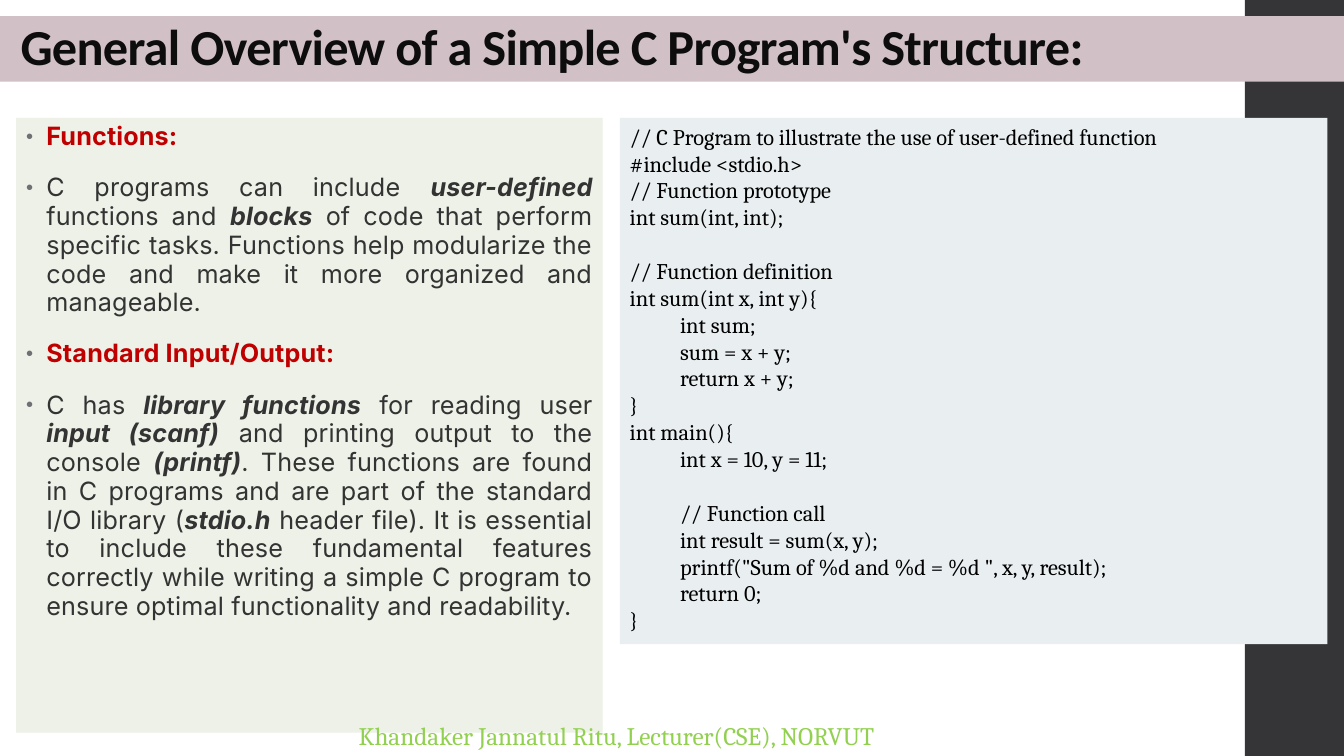
from lxml.etree import SubElement
from pptx import Presentation
from pptx.dml.color import RGBColor
from pptx.enum.shapes import MSO_SHAPE as Shape
from pptx.enum.text import MSO_ANCHOR as Anchor, PP_ALIGN as Align
from pptx.oxml.ns import qn
from pptx.util import Cm, Pt

TITLE = " General Overview of a Simple C Program's Structure:"
FOOTER = "Khandaker Jannatul Ritu, Lecturer(CSE), NORVUT"
TOPICS = [
    ("Functions:",
     "C programs can include *user-defined* functions and *blocks* of code that perform "
     "specific tasks. Functions help modularize the code and make it more organized and "
     "manageable."),
    ("Standard Input/Output:",
     "C has *library functions* for reading user *input (scanf)* and printing output to the "
     "console *(printf)*. These functions are found in C programs and are part of the standard "
     "I/O library (*stdio.h* header file). It is essential to include these fundamental "
     "features correctly while writing a simple C program to ensure optimal functionality and "
     "readability."),
]
CODE_BLOCKS = [
    """// C Program to illustrate the use of user-defined function
#include <stdio.h>
// Function prototype
int sum(int, int);""",
    """// Function definition
int sum(int x, int y){
\tint sum;
\tsum = x + y;
\treturn x + y;
}
int main(){
\tint x = 10, y = 11;""",
    """\t// Function call
\tint result = sum(x, y);
\tprintf("Sum of %d and %d = %d ", x, y, result);
\treturn 0;
}""",
]


def color(value):
    return RGBColor.from_string(value)


def add_panel(page, box, fill):
    panel = page.shapes.add_shape(Shape.RECTANGLE, *(Cm(length) for length in box))
    panel.shadow.inherit = False
    panel.fill.solid()
    panel.fill.fore_color.rgb = color(fill)
    panel.line.fill.background()
    panel.text_frame.word_wrap = True
    panel.text_frame.vertical_anchor = Anchor.TOP
    return panel


def style(span, font, size, ink, bold=False, italic=False, spacing=0):
    span.font.name = font
    span.font.size = Pt(size)
    span.font.color.rgb = color(ink)
    span.font.bold = bold
    span.font.italic = italic
    if spacing:
        span.font._element.set("spc", str(spacing))


def next_paragraph(frame, index):
    return frame.add_paragraph() if index else frame.paragraphs[0]


def add_bullet(para):
    props = para._p.get_or_add_pPr()
    props.set("marL", str(Cm(0.51)))
    props.set("indent", str(-Cm(0.51)))
    SubElement(SubElement(props, qn("a:buClr")), qn("a:srgbClr")).set("val", "6F6F74")
    SubElement(props, qn("a:buSzPct")).set("val", "80000")
    SubElement(props, qn("a:buFont")).set("typeface", "Arial")
    SubElement(props, qn("a:buChar")).set("char", "•")


def add_title(page, box):
    frame = add_panel(page, box, "D2C0C7").text_frame
    frame.vertical_anchor = Anchor.BOTTOM
    para = frame.paragraphs[0]
    para.text = TITLE
    para.alignment = Align.LEFT
    para.line_spacing = 0.9
    style(para.runs[0], "Calibri", 36, "0D0D0D", bold=True, spacing=-50)


def add_topics(page, box):
    frame = add_panel(page, box, "EDF1E7").text_frame
    lines = [(text, heading) for topic in TOPICS for text, heading in zip(topic, (True, False))]
    for index, (text, heading) in enumerate(lines):
        para = next_paragraph(frame, index)
        para.alignment = Align.JUSTIFY
        para.line_spacing = 0.95
        para.space_before = Pt(14 if index else 0)
        para.space_after = Pt(2)
        add_bullet(para)
        for part, words in enumerate(text.split("*")):
            span = para.add_run()
            span.text = words
            stressed = part % 2 == 1
            style(span, "Inter", 18, "C00000" if heading else "333333",
                  bold=heading or stressed, italic=stressed, spacing=10)


def add_code(page, box):
    frame = add_panel(page, box, "E9EEF1").text_frame
    lines = [(line, block > 0 and row == 0)
             for block, code in enumerate(CODE_BLOCKS)
             for row, line in enumerate(code.split("\n"))]
    for index, (line, gap) in enumerate(lines):
        para = next_paragraph(frame, index)
        para.text = line
        para.alignment = Align.LEFT
        para.space_before = Pt(19.2 if gap else 0)
        stops = SubElement(para._p.get_or_add_pPr(), qn("a:tabLst"))
        stop = SubElement(stops, qn("a:tab"))
        stop.set("pos", str(Cm(1.27)))
        stop.set("algn", "l")
        style(para.runs[0], "Cambria", 16, "000000")


def add_footer(page, box):
    frame = page.shapes.add_textbox(*(Cm(length) for length in box)).text_frame
    frame.word_wrap = True
    frame.text = FOOTER
    style(frame.paragraphs[0].runs[0], "Cambria", 18, "92D050")


def main():
    deck = Presentation()
    deck.slide_width, deck.slide_height = Cm(33.87), Cm(19.05)
    page = deck.slides.add_slide(deck.slide_layouts[6])
    add_panel(page, (31.37, 0, 2.5, 19.05), "353537")
    add_topics(page, (0.41, 2.97, 14.78, 15.49))
    add_footer(page, (8.79, 18.03, 18.82, 1.02))
    add_title(page, (0, 0.41, 33.87, 1.65))
    add_code(page, (15.62, 2.97, 17.83, 13.26))
    deck.save("out.pptx")


if __name__ == "__main__":
    main()
